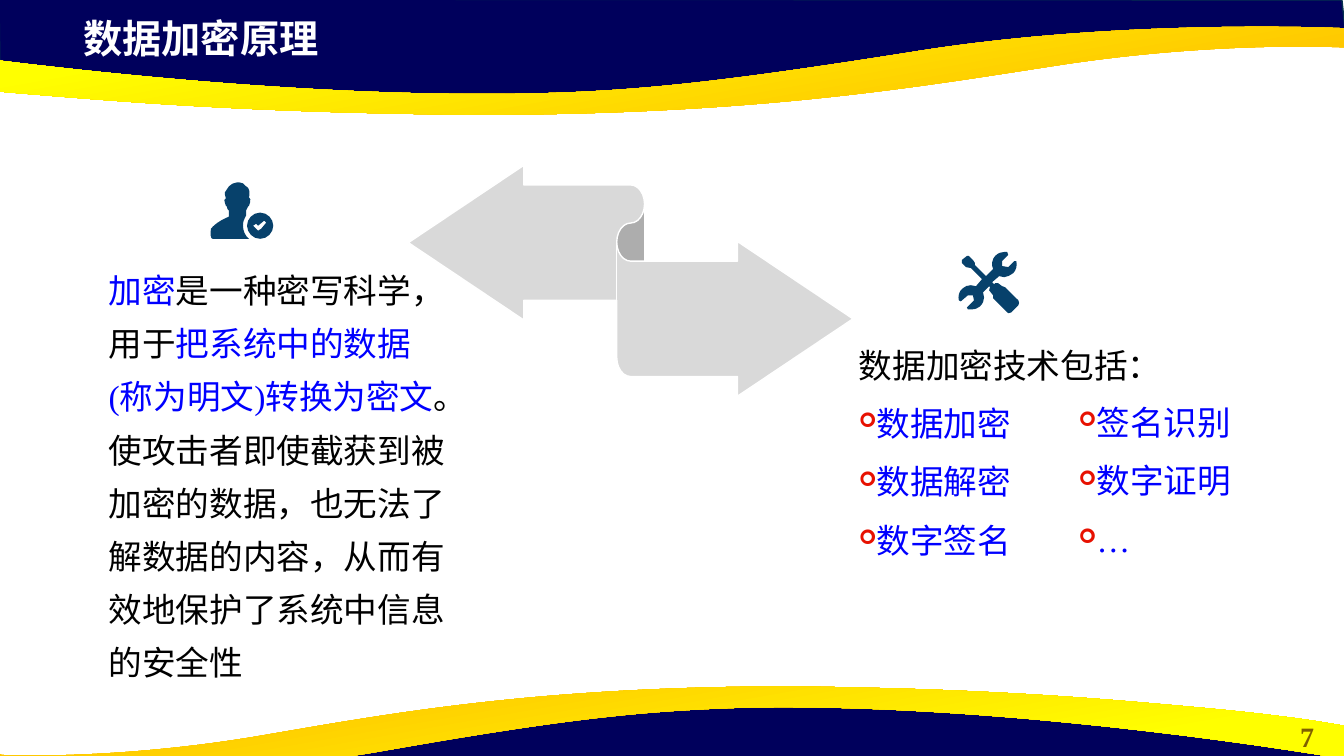
from lxml.etree import SubElement
from pptx import Presentation
from pptx.dml.color import RGBColor
from pptx.enum.shapes import MSO_SHAPE
from pptx.enum.text import PP_ALIGN
from pptx.oxml.ns import qn
from pptx.util import Inches, Pt

NAVY, ICON, BLUE, BLACK = "00005C", "07416B", "0000FF", "000000"

prs = Presentation()
prs.slide_width, prs.slide_height = Inches(13.33), Inches(7.5)
cell = prs.slide_height // 750  # the grid has 1333 columns and 750 rows
s = prs.slides.add_slide(prs.slide_layouts[6])


def paint(sp, fill, line=None):
    sp.shadow.inherit = False
    sp.fill.solid()
    sp.fill.fore_color.rgb = RGBColor.from_string(fill)
    if line:
        sp.line.color.rgb = RGBColor.from_string(line)
        sp.line.width = Pt(1)
    else:
        sp.line.fill.background()


def outline(*contours):
    """Draw closed contours in cells; six numbers make a cubic curve, two a line."""
    builder = s.shapes.build_freeform(*contours[0][0], scale=cell)
    for i, (start, *parts) in enumerate(contours):
        if i:
            builder.move_to(*start)
        builder.add_line_segments([part[-2:] for part in parts], close=True)
    sp = builder.convert_to_shape()
    left, top = (min(point[k] for c in contours for point in c) for k in (-2, -1))
    segments = list(sp._element.iter(qn("a:lnTo")))
    for segment, part in zip(segments, (part for c in contours for part in c[1:])):
        if len(part) == 6:
            curve = segment.makeelement(qn("a:cubicBezTo"))
            for x, y in zip(part[::2], part[1::2]):
                SubElement(curve, qn("a:pt"), x=str(x - left), y=str(y - top))
            segment.getparent().replace(segment, curve)
    return sp


# Navy edges with a golden ribbon along each
top_edge = [(-1, -1), (0, 70), (293, 102), (559, 100), (795, 88),
            (1016, 50), (1238, 33), (1335, 38), (1331, 0)]
top_ribbon = [(483, 114), (443, 114, 401, 113, 356, 112), (206, 108, 110, 100, 36, 94),
              (-88, 84, -130, 75, -133, 75), (-133, 42),
              (-133, 42, 218, 98, 517, 93), (626, 91, 708, 83, 915, 50),
              (1121, 18, 1333, 28, 1333, 28), (1333, 47), (1330, 47),
              (1305, 46, 1195, 43, 1055, 64), (918, 85, 762, 113, 483, 114)]
bottom_edge = [(1333, 794), (1332, 724), (1040, 691), (773, 693), (538, 706),
               (317, 743), (95, 760), (-3, 756), (1, 793)]
bottom_ribbon = [(772, 681), (809, 681, 847, 682, 888, 683), (1025, 687, 1112, 695, 1179, 701),
                 (1292, 711, 1330, 720, 1333, 720), (1333, 753),
                 (1333, 753, 1014, 697, 742, 702), (642, 705, 567, 712, 380, 745),
                 (192, 778, -1, 768, -1, 768), (-1, 748), (2, 749),
                 (25, 750, 125, 752, 252, 731), (376, 710, 519, 682, 772, 681)]
for edge, ribbon, angle in ((top_edge, top_ribbon, 100), (bottom_edge, bottom_ribbon, 280)):
    paint(outline(edge), NAVY, "05304F")
    sp = outline(ribbon)
    sp.shadow.inherit = False
    sp.line.fill.background()
    sp.fill.gradient()
    sp.fill.gradient_angle = angle
    for stop, share, color in zip(sp.fill.gradient_stops, (0.11, 0.78), ("FFC000", "FFFF00")):
        stop.position = share
        stop.color.rgb = RGBColor.from_string(color)

# Icons
check = [(262, 219), (256, 224), (254, 222), (251, 224), (256, 229), (259, 227), (264, 221)]
badge = [(258, 211), (265, 211, 271, 217, 271, 224), (271, 231, 265, 237, 258, 237),
         (251, 237, 245, 231, 245, 224), (245, 217, 251, 211, 258, 211)]
person = [(235, 181), (237, 181, 239, 181, 241, 182), (243, 184, 244, 185, 244, 185),
          (244, 185, 249, 186, 247, 196), (248, 197, 249, 198, 248, 201),
          (247, 204, 247, 205, 246, 205), (246, 207, 245, 208, 244, 209), (244, 214),
          (242, 217, 241, 220, 241, 224), (241, 229, 243, 234, 247, 237), (211, 237),
          (210, 237, 209, 236, 209, 234), (209, 229), (209, 228, 209, 226, 211, 225),
          (217, 219, 225, 216, 227, 215), (227, 209), (226, 208, 225, 207, 225, 205),
          (224, 205, 224, 204, 223, 201), (222, 198, 223, 197, 224, 197),
          (223, 194, 223, 192, 223, 191), (224, 188, 225, 187, 227, 185),
          (229, 183, 232, 181, 235, 181)]
tools = [(1010, 298), (997, 285), (994, 284), (990, 281), (987, 281), (986, 282), (984, 280),
         (991, 274), (996, 275), (999, 275, 1002, 273, 1005, 271),
         (1008, 268, 1009, 263, 1008, 259), (1006, 259), (1000, 265), (994, 264), (994, 259),
         (1000, 253), (999, 250), (996, 250), (993, 250, 990, 251, 987, 254),
         (984, 257, 983, 263, 985, 267), (978, 274), (967, 263), (967, 261), (965, 258),
         (961, 254), (959, 254), (954, 258), (954, 261), (958, 265), (963, 266), (974, 277),
         (968, 284), (963, 283), (960, 283, 957, 284, 955, 286),
         (951, 289, 950, 294, 951, 298), (953, 299), (960, 293), (965, 293), (966, 298),
         (959, 305), (960, 307), (963, 307), (967, 307, 970, 306, 972, 304),
         (975, 301, 976, 298, 976, 295), (975, 290), (981, 284), (982, 285), (981, 288),
         (985, 293), (985, 296), (999, 310), (999, 310, 1001, 312, 1003, 310), (1010, 303),
         (1011, 302, 1011, 299, 1010, 298)]
paint(outline(person, badge, check), ICON)
paint(outline(tools), ICON)

ribbon_arrow = s.shapes.add_shape(MSO_SHAPE.LEFT_RIGHT_RIBBON,
                                  405 * cell, 164 * cell, 441 * cell, 229 * cell)
ribbon_arrow.adjustments[2] = 0.33
paint(ribbon_arrow, "D9D9D9", "FFFFFF")

# Text: box in cells, size, bold, paragraphs of (kind, runs)
definition = [("加密", BLUE), ("是一种密写科学，用于", BLACK),
              ("把系统中的数据(称为明文)转换为密文", BLUE),
              ("。使攻击者即使截获到被加密的数据，也无法了解数据的内容，"
               "从而有效地保护了系统中信息的安全性", BLACK)]
left_items, right_items = ([("bullet", [(text, BLUE)]) for text in items] for items in (
    ("数据加密", "数据解密", "数字签名"), ("签名识别", "数字证明", "…")))
texts = [
    ((1260, 709, 73, 44), 20, True, [("number", [("7", "806000")])]),
    ((73, 9, 768, 57), 28, True, [("title", [("数据加密原理", "FFFFFF")])]),
    ((98, 250, 356, 189), 24, False, [("body", definition)]),
    ((842, 324, 363, 242), 24, False, [("body", [("数据加密技术包括：", BLACK)])] + left_items),
    ((1060, 381, 220, 186), 24, False, right_items),
]
for box, size, bold, paragraphs in texts:
    tf = s.shapes.add_textbox(*(n * cell for n in box)).text_frame
    tf.word_wrap = True
    for i, (kind, runs) in enumerate(paragraphs):
        p = tf.add_paragraph() if i else tf.paragraphs[0]
        if kind == "number":
            p.alignment = PP_ALIGN.CENTER
        if kind in ("body", "bullet"):
            p.line_spacing = 1.32
        if i:
            p.space_before = Pt(3.7)
        if kind == "bullet":
            p.level = 1
            pPr = p._p.get_or_add_pPr()
            pPr.set("marL", "0")
            pPr.set("indent", str(-38 * cell))
            SubElement(SubElement(pPr, qn("a:buClr")), qn("a:srgbClr"), val="E71101")
            SubElement(pPr, qn("a:buSzPct"), val="60000")
            SubElement(pPr, qn("a:buFont"), typeface="Wingdings")
            SubElement(pPr, qn("a:buChar"), char="➢")
        for text, color in runs:
            r = p.add_run()
            r.text = text
            r.font.name = "Times New Roman"
            r.font.size, r.font.bold = Pt(size), bold
            r.font.color.rgb = RGBColor.from_string(color)

prs.save("out.pptx")
